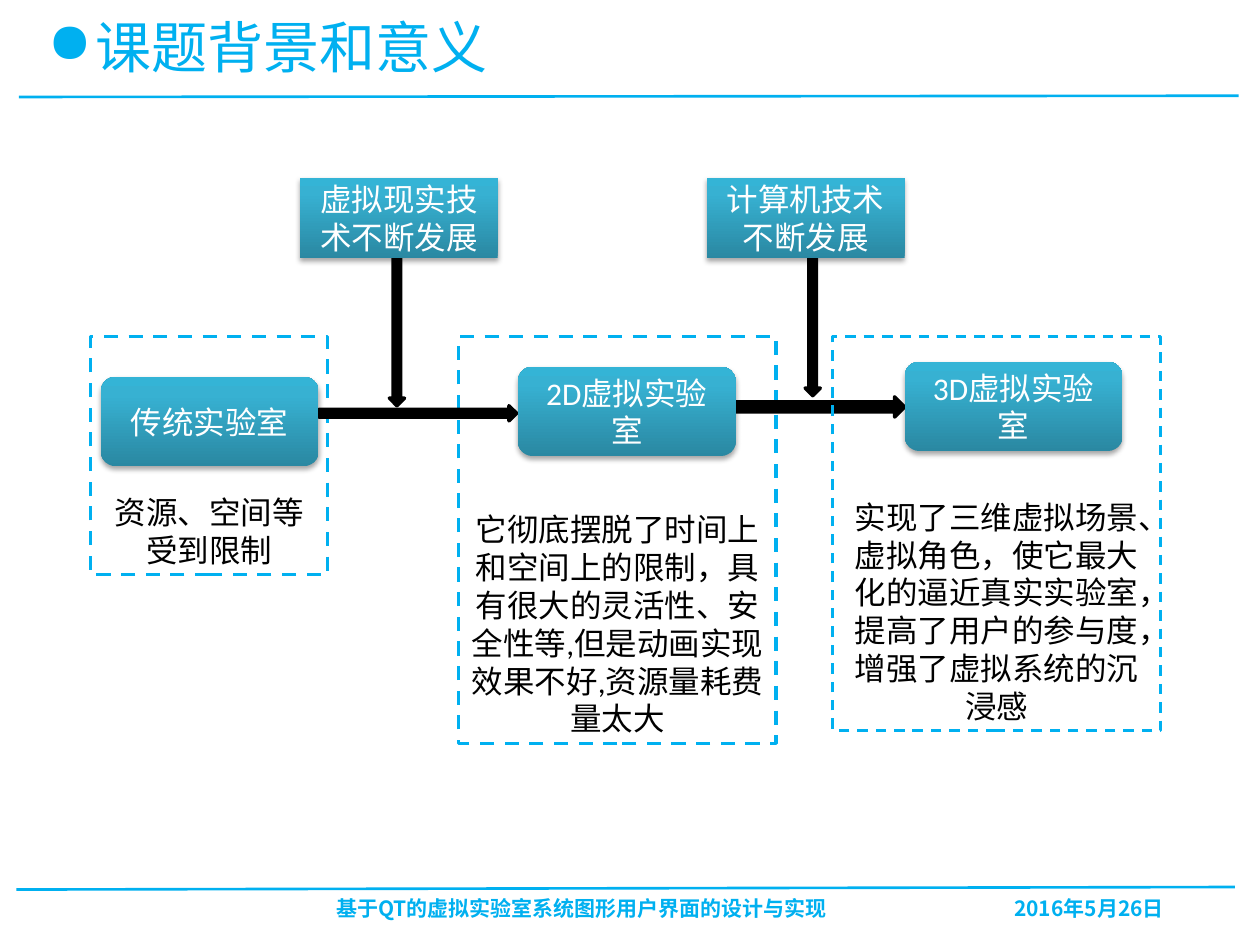
from copy import deepcopy

from lxml import etree
from pptx import Presentation
from pptx.dml.color import RGBColor
from pptx.enum.dml import MSO_LINE
from pptx.enum.shapes import MSO_CONNECTOR, MSO_SHAPE
from pptx.enum.text import MSO_ANCHOR, PP_ALIGN
from pptx.oxml.ns import qn
from pptx.util import Inches, Pt

RECT, ROUNDED = MSO_SHAPE.RECTANGLE, MSO_SHAPE.ROUNDED_RECTANGLE
RIGHT, DOWN = MSO_SHAPE.RIGHT_ARROW, MSO_SHAPE.DOWN_ARROW
STRAIGHT, DASH = MSO_CONNECTOR.STRAIGHT, MSO_LINE.DASH
TOP, MIDDLE, BOTTOM = MSO_ANCHOR.TOP, MSO_ANCHOR.MIDDLE, MSO_ANCHOR.BOTTOM
LEFT, CENTER = PP_ALIGN.LEFT, PP_ALIGN.CENTER

COLORS = {"accent": "00B0F0", "black": "000000", "white": "FFFFFF"}
GRADIENT = [(0, "2A88A2"), (0.8, "37B1D2"), (1, "34B4D6")]
LATIN, CJK, HEADING = "Calibri", "Noto Sans CJK SC", "Noto Sans CJK JP"


class SlideBuilder:
    def __init__(self, page):
        self.page = page

    def color(self, name):
        return RGBColor.from_string(COLORS[name])

    def add_text(self, box, text, color, size=18, font=LATIN, bold=False,
                 align=CENTER, anchor=MIDDLE):
        frame = box.text_frame
        frame.word_wrap = True
        frame.vertical_anchor = anchor
        para = frame.paragraphs[0]
        para.alignment = align
        span = para.add_run()
        span.text = text
        span.font.size, span.font.name, span.font.bold = Pt(size), font, bold
        span.font.color.rgb = self.color(color)
        east_asian = etree.SubElement(span.font._element, qn("a:ea"))
        east_asian.set("typeface", CJK if font == LATIN else font)
        return para

    def shape(self, kind, place):
        box = self.page.shapes.add_shape(kind, *map(Inches, place))
        box.shadow.inherit = False
        return box

    def label(self, place, text, **style):
        box = self.page.shapes.add_textbox(*map(Inches, place))
        return self.add_text(box, text, "accent", font=HEADING, align=LEFT,
                             anchor=TOP, **style)

    def bullet(self, para, mark, indent):
        props = para._p.get_or_add_pPr()
        props.set("marL", str(Inches(indent)))
        props.set("indent", str(-Inches(indent)))
        etree.SubElement(props, qn("a:buChar")).set("char", mark)

    def rule(self, x1, y1, x2, y2):
        line = self.page.shapes.add_connector(
            STRAIGHT, *map(Inches, (x1, y1, x2, y2)))
        line.line.color.rgb = self.color("accent")
        line.line.width = Pt(1.5)
        etree.SubElement(line._element.spPr, qn("a:effectLst"))

    def panel(self, place, text, font=LATIN, width=2, filled=True):
        box = self.shape(RECT, place)
        if filled:
            box.fill.solid()
            box.fill.fore_color.rgb = self.color("white")
        else:
            box.fill.background()
        box.line.color.rgb = self.color("accent")
        box.line.width = Pt(width)
        box.line.dash_style = DASH
        self.add_text(box, text, "black", font=font, anchor=BOTTOM)

    def block(self, kind, place, text):
        box = self.shape(kind, place)
        box.line.fill.background()
        # Three-stop gradient, dark at the bottom
        box.fill.gradient()
        box.fill.gradient_angle = 90
        stops = box._element.spPr.find(qn("a:gradFill")).find(qn("a:gsLst"))
        stops.insert(1, deepcopy(stops[0]))
        for stop, (position, value) in zip(box.fill.gradient_stops, GRADIENT):
            stop.position = position
            stop.color.rgb = RGBColor.from_string(value)
        # Soft shadow below
        effects = box._element.spPr.find(qn("a:effectLst"))
        shadow = etree.SubElement(
            effects, qn("a:outerShdw"), blurRad=str(Pt(3.1)),
            dist=str(Pt(1.8)), dir="5400000", rotWithShape="0")
        tone = etree.SubElement(shadow, qn("a:srgbClr"), val=COLORS["black"])
        etree.SubElement(tone, qn("a:alpha"), val="35000")
        self.add_text(box, text, "white")

    def arrow(self, kind, place):
        box = self.shape(kind, place)
        box.fill.solid()
        box.fill.fore_color.rgb = self.color("black")
        box.line.color.rgb = self.color("black")
        box.line.width = Pt(2)


def main():
    deck = Presentation()
    deck.slide_width, deck.slide_height = Inches(10), Inches(7.5)
    build = SlideBuilder(deck.slides.add_slide(deck.slide_layouts[6]))

    # Header and footer
    build.rule(0.15, 0.77, 9.83, 0.76)
    build.rule(0.13, 7.06, 9.8, 7.04)
    build.label((2.57, 7.06, 4.5, 0.3),
                "基于QT的虚拟实验室系统图形用户界面的设计与实现", size=12, bold=True)
    build.label((7.95, 7.06, 1.78, 0.3), "2016年5月26日", size=12, bold=True)
    title = build.label((0.28, 0.05, 4.49, 0.55), "课题背景和意义", size=32)
    build.bullet(title, "●", 0.38)

    # Dashed panels describing each stage
    build.panel((3.64, 2.67, 2.52, 3.23),
                "它彻底摆脱了时间上和空间上的限制，具有很大的灵活性、安全性等,"
                "但是动画实现效果不好,资源量耗费量太大")
    build.panel((0.72, 2.67, 1.88, 1.89), "资源、空间等受到限制", font=CJK)

    # Arrows between stages and down from the drivers
    build.arrow(RIGHT, (2.53, 3.22, 1.57, 0.12))
    build.arrow(DOWN, (3.09, 2.05, 0.12, 1.17))
    build.arrow(DOWN, (6.39, 2.05, 0.12, 1.09))
    build.arrow(RIGHT, (5.84, 3.15, 1.34, 0.16))
    build.panel((6.61, 2.67, 2.6, 3.13),
                "实现了三维虚拟场景、虚拟角色，使它最大化的逼近真实实验室，"
                "提高了用户的参与度，增强了虚拟系统的沉浸感",
                width=1.5, filled=False)

    # Drivers
    for left, text in [(2.38, "虚拟现实技术不断发展"), (5.61, "计算机技术不断发展")]:
        build.block(RECT, (left, 1.41, 1.57, 0.64), text)

    # Stages
    for left, top, text in [(0.8, 2.99, "传统实验室"),
                            (4.11, 2.91, "2D虚拟实验室"),
                            (7.18, 2.87, "3D虚拟实验室")]:
        build.block(ROUNDED, (left, top, 1.73, 0.71), text)

    deck.save("out.pptx")


if __name__ == "__main__":
    main()
